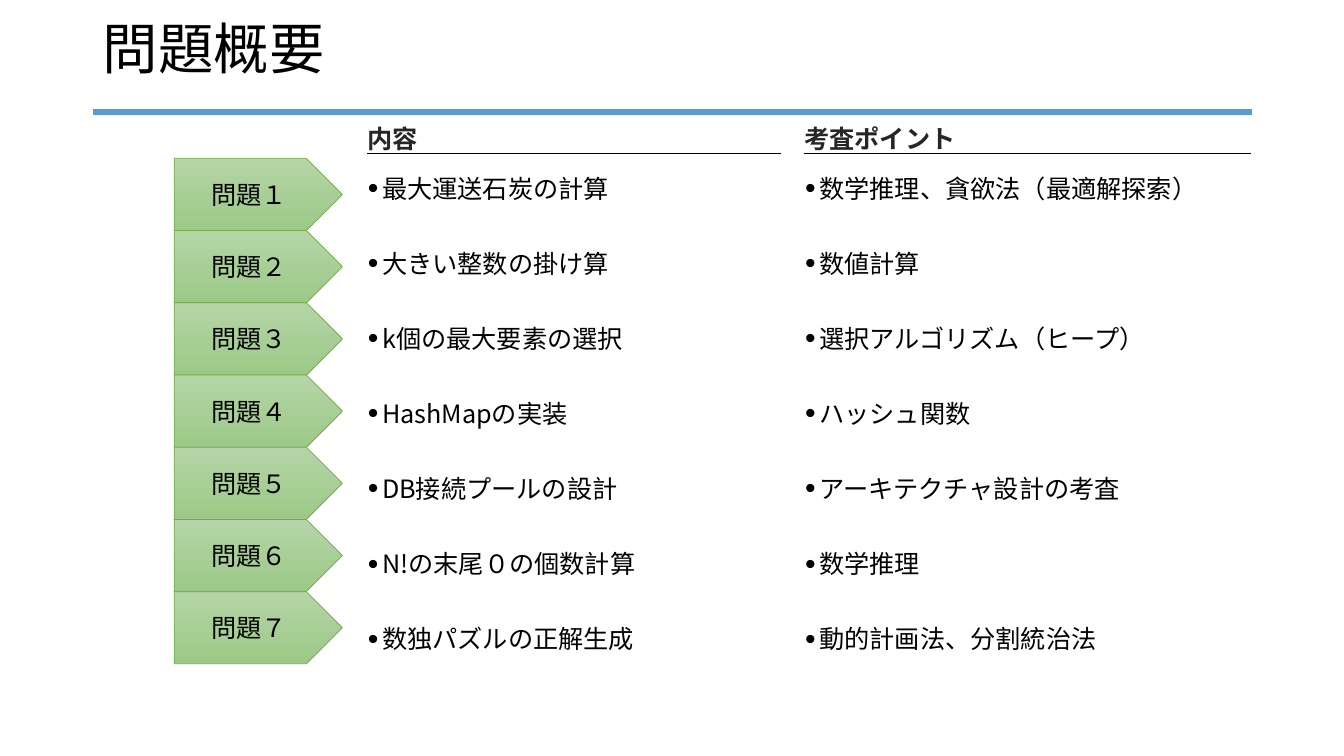
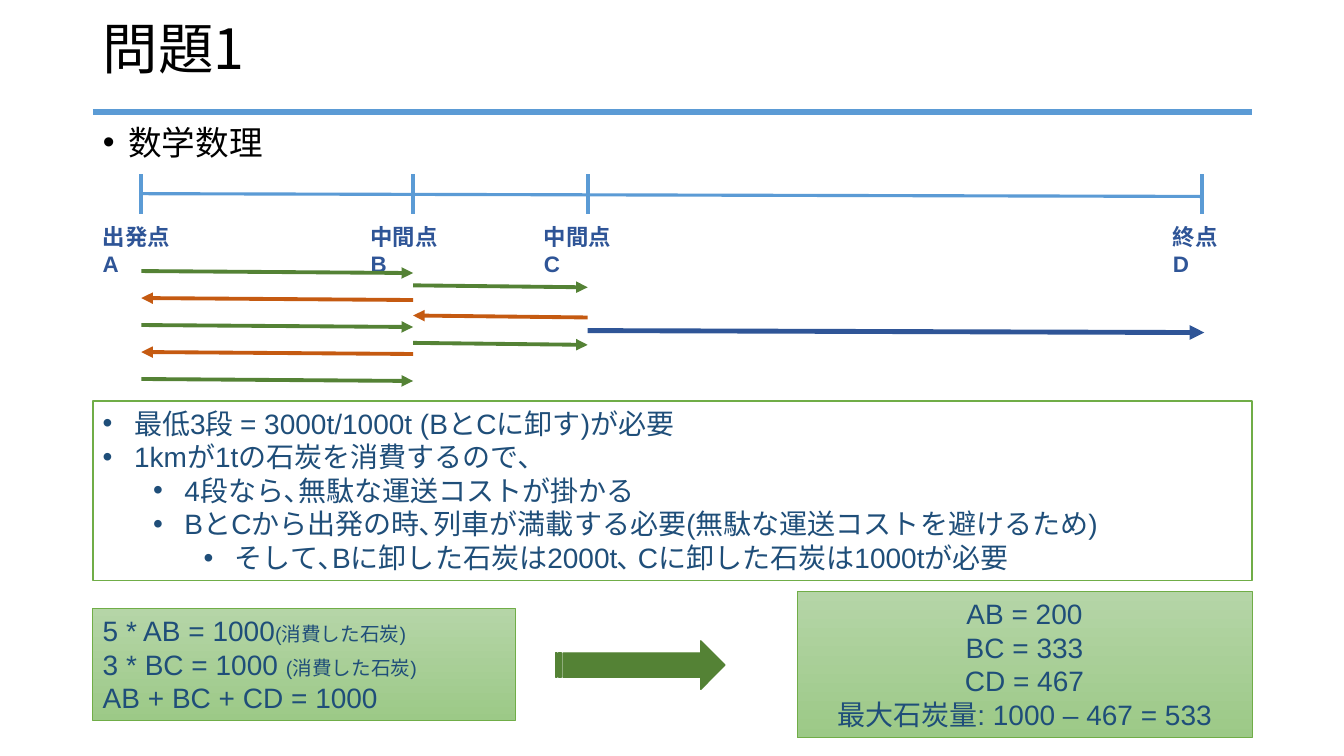
from lxml import etree
from pptx import Presentation
from pptx.dml.color import RGBColor
from pptx.enum.shapes import MSO_CONNECTOR, MSO_SHAPE
from pptx.enum.text import MSO_ANCHOR, MSO_AUTO_SIZE, PP_ALIGN
from pptx.oxml.ns import qn
from pptx.util import Cm, Pt

STRAIGHT = MSO_CONNECTOR.STRAIGHT
PLATE, RECT = MSO_SHAPE.PENTAGON, MSO_SHAPE.RECTANGLE
ARROW = MSO_SHAPE.STRIPED_RIGHT_ARROW
TOP, MID, LOW = MSO_ANCHOR.TOP, MSO_ANCHOR.MIDDLE, MSO_ANCHOR.BOTTOM
FIT, FIXED = MSO_AUTO_SIZE.SHAPE_TO_FIT_TEXT, MSO_AUTO_SIZE.NONE
LEFT, MIDDLE = PP_ALIGN.LEFT, PP_ALIGN.CENTER

COLORS = {
    "black": "000000", "white": "FFFFFF", "dark": "262626",
    "sky": "5B9BD5", "blue": "2F5597", "navy": "1F4E79",
    "green": "548235", "edge": "70AD47", "orange": "C55A11",
    "pale": "B5D5A7", "leaf": "9CC987",
}
NOTO, ARIAL = "Noto Sans CJK JP", "Arial"
MARGIN, WIDTH = 2.34, 29.21

# Content: problem overview
HEADS = [("内容", 9.25, 10.44), ("考査ポイント", 20.27, 11.25)]
TASKS = [
    ("最大運送石炭の計算", "数学推理、貪欲法（最適解探索）"),
    ("大きい整数の掛け算", "数値計算"),
    ("k個の最大要素の選択", "選択アルゴリズム（ヒープ）"),
    ("HashMapの実装", "ハッシュ関数"),
    ("DB接続プールの設計", "アーキテクチャ設計の考査"),
    ("N!の末尾０の個数計算", "数学推理"),
    ("数独パズルの正解生成", "動的計画法、分割統治法"),
]
DIGITS = "１２３４５６７"

# Content: problem 1
STOPS = {"A": 3.56, "B": 10.41, "C": 14.81, "D": 30.3}
LABELS = [("出発点A", 2.34, 2.4), ("中間点B", 9.09, 2.4),
          ("中間点C", 13.46, 2.4), ("終点D", 29.31, 1.9)]
TRIPS = [("A", "B", 6.83 + 0.68 * i, i % 2 == 1) for i in range(5)]
TRIPS += [("B", "C", 7.19, False), ("B", "C", 7.95, True),
          ("B", "C", 8.64, False)]
NOTES = [
    (0, "最低3段 = 3000t/1000t (BとCに卸す)が必要"),
    (0, "1kmが1tの石炭を消費するので､"),
    (1, "4段なら､無駄な運送コストが掛かる"),
    (1, "BとCから出発の時､列車が満載する必要(無駄な運送コストを避けるため)"),
    (2, "そして､Bに卸した石炭は2000t､ Cに卸した石炭は1000tが必要"),
]
SUMS = [
    [("5 * AB = 1000", 20), ("(消費した石炭)", 14)],
    [("3 * BC = 1000 ", 20), ("(消費した石炭)", 14)],
    [("AB + BC + CD = 1000", 20)],
]
RESULTS = ["AB = 200", "BC = 333", "CD = 467",
           "最大石炭量: 1000 – 467 = 533"]


def rgb(name):
    return RGBColor.from_string(COLORS[name])


def box(*sides):
    return [Cm(side) for side in sides]


def write(frame, rows, color, face=NOTO, bold=False, align=LEFT,
          anchor=TOP, size=FIT, inset=True):
    """Fill a frame; each row is a list of (text, points) runs."""
    frame.word_wrap = True
    frame.auto_size = size
    frame.vertical_anchor = anchor
    if not inset:
        frame.margin_left = frame.margin_right = 0
        frame.margin_top = frame.margin_bottom = 0
    for i, row in enumerate(rows):
        para = frame.add_paragraph() if i else frame.paragraphs[0]
        para.alignment = align
        for text, points in row:
            run = para.add_run()
            run.text = text
            font = run.font
            font.name, font.size, font.bold = face, Pt(points), bold
            font.color.rgb = rgb(color)
            props = run._r.get_or_add_rPr()
            etree.SubElement(props, qn("a:ea")).set("typeface", NOTO)
    return frame.paragraphs


def bullet(para, left, hang, scale=100):
    props = para._p.get_or_add_pPr()
    props.set("marL", str(Cm(left)))
    props.set("indent", str(-Cm(hang)))
    for tag, key, value in (("buSzPct", "val", str(scale * 1000)),
                            ("buFont", "typeface", ARIAL),
                            ("buChar", "char", "•")):
        etree.SubElement(props, qn("a:" + tag)).set(key, value)


def line(slide, start, end, color, points, tip=None):
    link = slide.shapes.add_connector(STRAIGHT, *box(*start, *end))
    link.line.color.rgb = rgb(color)
    link.line.width = Pt(points)
    if tip:
        mark = etree.SubElement(link.get_or_add_ln(), qn("a:" + tip))
        mark.set("type", "triangle")
    etree.SubElement(link.element.spPr, qn("a:effectLst"))
    return link


def shape(slide, kind, place, fill, edge, points):
    """Draw a preset shape; a pair of fills makes a vertical gradient."""
    part = slide.shapes.add_shape(kind, *box(*place))
    part.shadow.inherit = False
    if isinstance(fill, tuple):
        part.fill.gradient()
        part.fill.gradient_angle = 270
        for i, stop in enumerate(part.fill.gradient_stops):
            stop.position = i
            stop.color.rgb = rgb(fill[i])
    else:
        part.fill.solid()
        part.fill.fore_color.rgb = rgb(fill)
    part.line.color.rgb = rgb(edge)
    part.line.width = Pt(points)
    return part


def panel(slide, kind, place):
    return shape(slide, kind, place, ("pale", "leaf"), "edge", 0.5)


def label(slide, place, text, points, color, **style):
    part = slide.shapes.add_textbox(*box(*place))
    return write(part.text_frame, [[(text, points)]], color, **style)[0]


def seat(holder, *place):
    holder.left, holder.top, holder.width, holder.height = box(*place)
    return holder.text_frame


def start(deck, layout, title):
    slide = deck.slides.add_slide(deck.slide_layouts[layout])
    frame = seat(slide.shapes.title, MARGIN, 0.38, WIDTH, 1.85)
    para = write(frame, [[(title, 39.6)]], "black", anchor=MID, size=FIXED)[0]
    para.line_spacing = 0.9
    return slide


deck = Presentation()
deck.slide_width, deck.slide_height = box(33.87, 19.05)

# Overview, with the title rule moved to the master
slide = start(deck, 5, "問題概要")
rule = line(slide, (MARGIN, 2.82), (MARGIN + WIDTH, 2.82), "sky", 3.75)
rule.element.nvCxnSpPr.cNvPr.set("id", "20")
deck.slide_master.shapes.element.append(rule.element)

for col, (head, left, width) in enumerate(HEADS):
    line(slide, (left, 3.86), (left + width, 3.86), "black", 0.75)
    label(slide, (left, 3.1, width, 0.76), head, 18, "dark",
          bold=True, anchor=LOW, inset=False)
    for row, task in enumerate(TASKS):
        para = label(slide, (left, 4.37 + 1.89 * row, width, 0.76),
                     task[col], 18, "black", inset=False)
        bullet(para, 0.38, 0.36, 120)

for row, digit in enumerate(DIGITS):
    plate = panel(slide, PLATE, (4.39, 3.99 + 1.82 * row, 4.24, 1.82))
    write(plate.text_frame, [[("問題" + digit, 18)]], "black",
          align=MIDDLE, anchor=MID, size=FIXED)

# Problem 1: route
slide = start(deck, 1, "問題1")
frame = seat(slide.placeholders[1], MARGIN, 3.05, WIDTH, 13.64)
para = write(frame, [[("数学数理", 24)]], "black", size=FIXED)[0]
bullet(para, 0.64, 0.64)
para.line_spacing, para.space_before = 0.9, Pt(10)

line(slide, (STOPS["A"], 4.88), (STOPS["D"], 4.95), "sky", 2.25)
for x in STOPS.values():
    line(slide, (x, 4.39), (x, 5.38), "sky", 2.75)
for text, left, width in LABELS:
    label(slide, (left, 5.51, width, 0.94), text, 16, "blue",
          face=ARIAL, bold=True)

# Reasoning
notes = shape(slide, RECT, (MARGIN, 10.11, WIDTH, 4.52), "white", "edge", 1)
rows = [[(text, 20)] for level, text in NOTES]
paras = write(notes.text_frame, rows, "navy", face=ARIAL)
for para, (level, text) in zip(paras, NOTES):
    para.level = level
    bullet(para, 0.79 + 1.27 * level, 0.79)

# Trips: green forward, orange back
for a, b, y, back in TRIPS:
    color, tip = ("orange", "headEnd") if back else ("green", "tailEnd")
    line(slide, (STOPS[a], y), (STOPS[b], y + 0.05), color, 2.75, tip)
line(slide, (STOPS["C"], 8.33), (30.35, 8.38), "blue", 3.5, "tailEnd")

# Sums and results
sums = panel(slide, RECT, (MARGIN, 15.34, 10.64, 2.82))
write(sums.text_frame, SUMS, "navy", face=ARIAL)
results = panel(slide, RECT, (20.09, 14.91, 11.46, 3.68))
write(results.text_frame, [[(text, 20)] for text in RESULTS], "navy",
      face=ARIAL, align=MIDDLE)
shape(slide, ARROW, (14, 16.15, 4.27, 1.22), "green", "green", 1)

deck.save("out.pptx")
